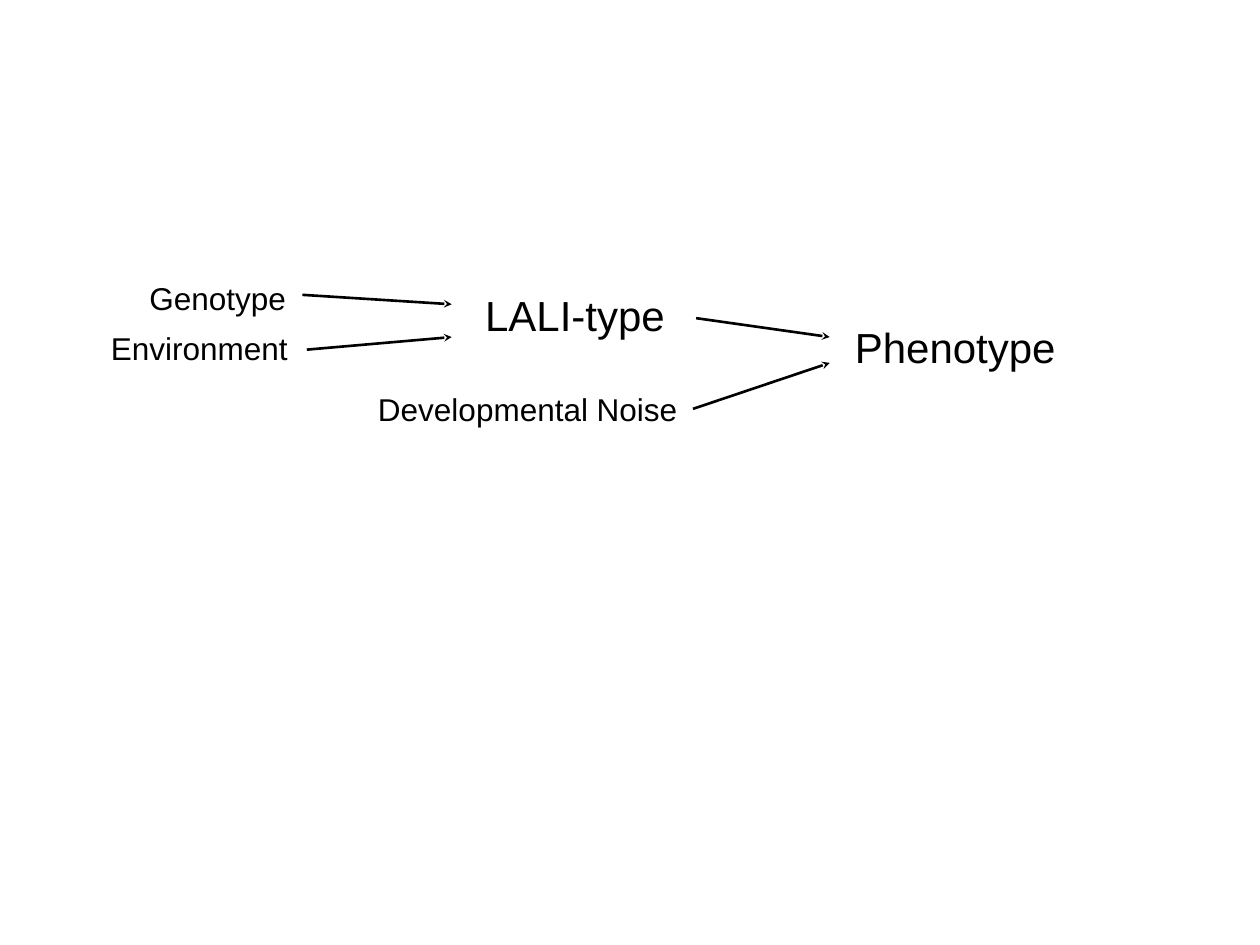
from typing import NamedTuple

from lxml.etree import SubElement
from pptx import Presentation
from pptx.dml.color import RGBColor
from pptx.enum.shapes import MSO_CONNECTOR as Connector
from pptx.enum.text import MSO_AUTO_SIZE as AutoSize
from pptx.oxml.ns import qn
from pptx.slide import Slide
from pptx.util import Inches, Pt

COLORS = {"ink": "000000", "background": "FFFFFF"}
FONT = "Arial"
SMALL, LARGE = 36, 48
BOX_HEIGHTS = {SMALL: 0.81, LARGE: 1.01}


class Label(NamedTuple):
    text: str
    left: float
    top: float
    width: float
    size: int


class Arrow(NamedTuple):
    start: tuple[float, float]
    end: tuple[float, float]


LABELS = [
    Label("Genotype", 2.17, 4.33, 2.59, SMALL),
    Label("Environment", 1.56, 5.13, 3.24, SMALL),
    Label("LALI-type", 7.5, 4.5, 3.29, LARGE),
    Label("Developmental Noise", 5.8, 6.09, 5.2, SMALL),
    Label("Phenotype", 13.37, 5, 3.63, LARGE),
]

ARROWS = [
    Arrow((4.8, 4.68), (7.17, 4.83)),  # Genotype to LALI-type
    Arrow((4.87, 5.55), (7.17, 5.35)),  # Environment to LALI-type
    Arrow((11.05, 5.05), (13.17, 5.35)),  # LALI-type to Phenotype
    Arrow((11, 6.49), (13.17, 5.76)),  # Developmental Noise to Phenotype
]


def color(name: str) -> RGBColor:
    return RGBColor.from_string(COLORS[name])


def add_text(slide: Slide, text: str, *, left: float, top: float, width: float,
             size: int, font: str = FONT, ink: str = "ink") -> None:
    shape = slide.shapes.add_textbox(
        Inches(left), Inches(top), Inches(width), Inches(BOX_HEIGHTS[size]))
    frame = shape.text_frame
    frame.word_wrap = False
    frame.auto_size = AutoSize.SHAPE_TO_FIT_TEXT
    frame.margin_left = frame.margin_right = Inches(0.2)
    frame.margin_top = frame.margin_bottom = Inches(0.1)
    run = frame.paragraphs[0].add_run()
    run.text = text
    run.font.name = font
    run.font.size = Pt(size)
    run.font.color.rgb = color(ink)


def add_arrow(slide: Slide, arrow: Arrow) -> None:
    points = [Inches(value) for value in (*arrow.start, *arrow.end)]
    connector = slide.shapes.add_connector(Connector.STRAIGHT, *points)
    connector.line.color.rgb = color("ink")
    connector.line.width = Pt(3)
    properties = connector._element.spPr
    SubElement(properties.find(qn("a:ln")), qn("a:tailEnd"), type="stealth")
    SubElement(properties, qn("a:effectLst"))


def main() -> None:
    presentation = Presentation()
    presentation.slide_width = Inches(20)
    presentation.slide_height = Inches(15)
    blank_layout = presentation.slide_layouts[6]
    slide = presentation.slides.add_slide(blank_layout)
    slide.background.fill.solid()
    slide.background.fill.fore_color.rgb = color("background")

    for label in LABELS:
        add_text(slide, label.text, left=label.left, top=label.top,
                 width=label.width, size=label.size)
    for arrow in ARROWS:
        add_arrow(slide, arrow)

    presentation.save("out.pptx")


if __name__ == "__main__":
    main()
